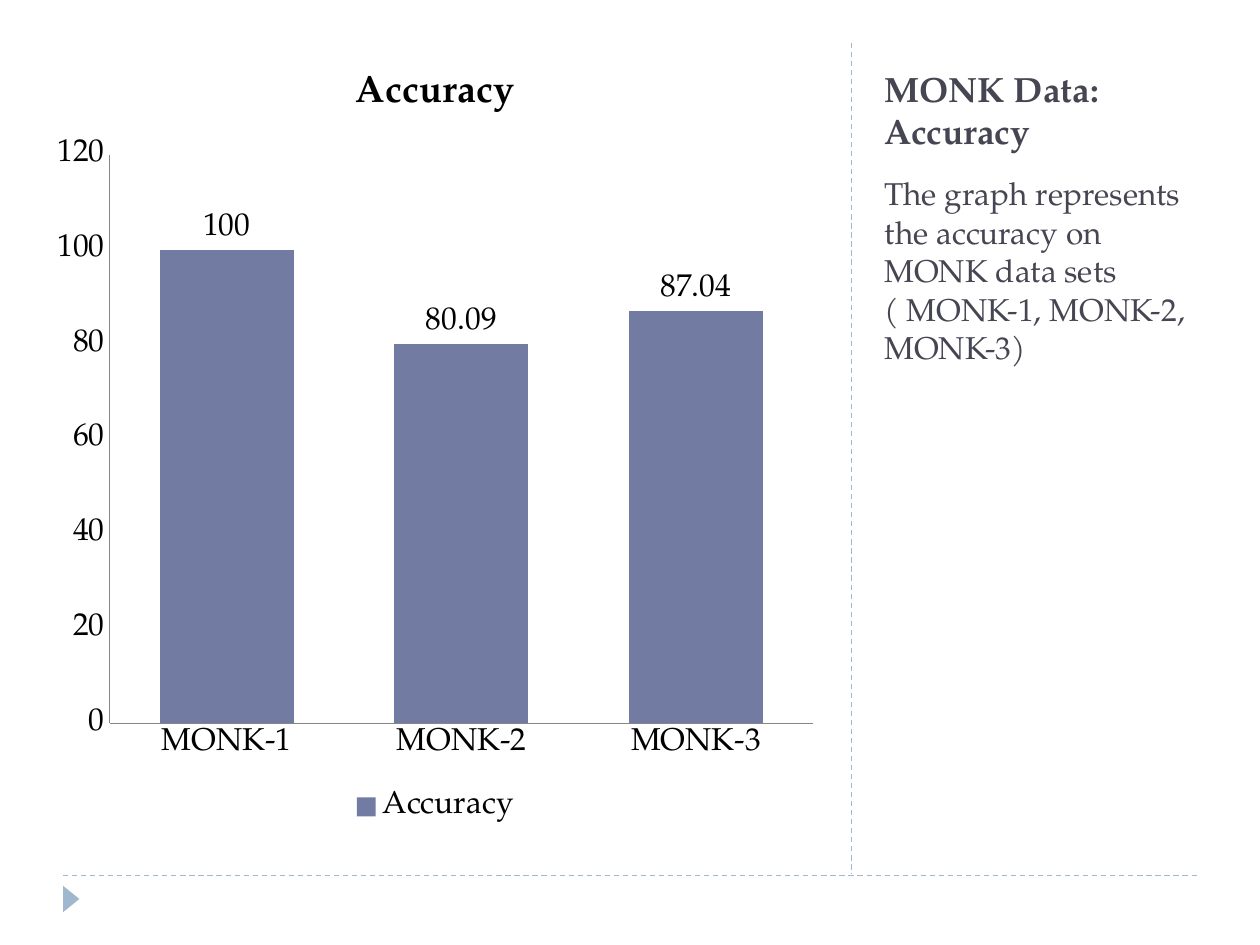
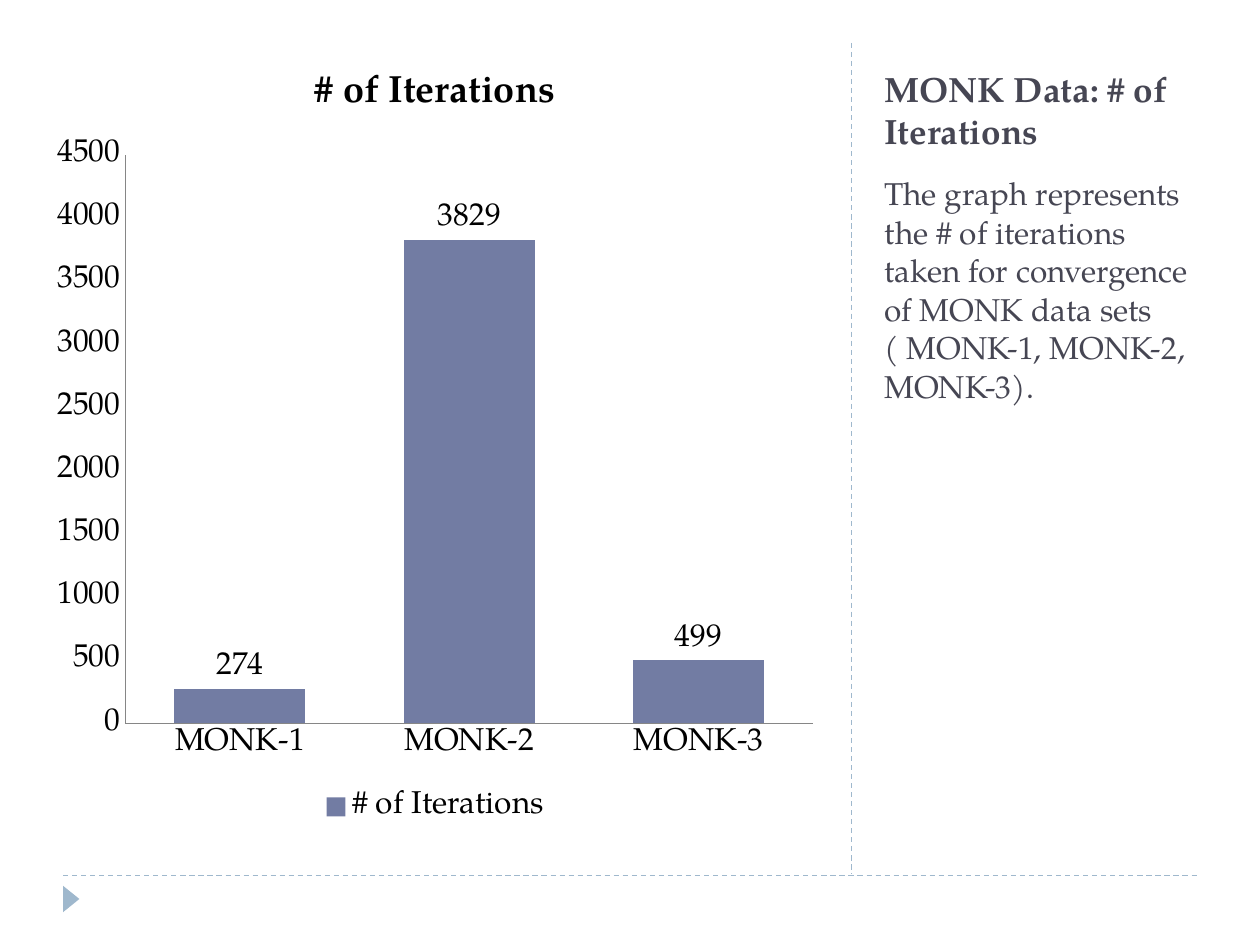
from dataclasses import dataclass

from lxml import etree
from pptx import Presentation
from pptx.chart.data import CategoryChartData
from pptx.dml.color import RGBColor
from pptx.enum.chart import XL_CHART_TYPE, XL_LABEL_POSITION, XL_LEGEND_POSITION, XL_TICK_MARK
from pptx.enum.dml import MSO_LINE
from pptx.enum.shapes import MSO_CONNECTOR, MSO_SHAPE
from pptx.enum.text import MSO_ANCHOR
from pptx.oxml.ns import qn
from pptx.util import Inches, Pt

COLUMNS = XL_CHART_TYPE.COLUMN_CLUSTERED
OUTSIDE = XL_LABEL_POSITION.OUTSIDE_END
BOTTOM_LEGEND = XL_LEGEND_POSITION.BOTTOM
NO_TICK = XL_TICK_MARK.NONE
STRAIGHT = MSO_CONNECTOR.STRAIGHT
TRIANGLE = MSO_SHAPE.ISOSCELES_TRIANGLE


@dataclass(frozen=True)
class Theme:
    font: str = "TeX Gyre Pagella"
    text: RGBColor = RGBColor(0x46, 0x46, 0x53)
    rule: RGBColor = RGBColor(0x9F, 0xB8, 0xCD)
    bar: RGBColor = RGBColor(0x72, 0x7C, 0xA3)
    axis: RGBColor = RGBColor(0x86, 0x86, 0x86)
    chart_text: RGBColor = RGBColor(0, 0, 0)
    title_size: Pt = Pt(20)
    body_size: Pt = Pt(18)
    chart_title_size: Pt = Pt(21.6)


theme = Theme()


def style_font(font, size, color, bold=False):
    font.name = theme.font
    font.size = size
    font.bold = bold
    font.color.rgb = color


def add_text(slide, text, top, height, size, bold=False):
    s = slide.shapes.add_textbox(Inches(6.92), Inches(top), Inches(2.75), Inches(height))
    s.text_frame.word_wrap = True
    p = s.text_frame.paragraphs[0]
    p.text = text
    style_font(p.font, size, theme.text, bold)
    return s.text_frame


# Content: measure, explanation, values per data set
data_sets = ["MONK-1", "MONK-2", "MONK-3"]
measures = [
    ("Accuracy",
     "The graph represents the accuracy on MONK data sets ( MONK-1, MONK-2, MONK-3)",
     [100, 80.09, 87.04]),
    ("# of Iterations",
     "The graph represents the # of iterations taken for convergence of MONK data sets "
     "( MONK-1, MONK-2, MONK-3).",
     [274, 3829, 499]),
]
rules = [(0.5, 6.95, 9.5, 6.95), (6.76, 0.34, 6.76, 6.94)]

prs = Presentation()
prs.slide_width, prs.slide_height = Inches(10), Inches(7.5)

for measure, explanation, values in measures:
    slide = prs.slides.add_slide(prs.slide_layouts[6])

    # Dashed rules
    for ends in rules:
        s = slide.shapes.add_connector(STRAIGHT, *map(Inches, ends))
        s.line.color.rgb = theme.rule
        s.line.width = Pt(0.75)
        s.line.dash_style = MSO_LINE.DASH
        etree.SubElement(s._element.spPr, qn("a:effectLst"))

    # Footer arrow
    s = slide.shapes.add_shape(TRIANGLE, Inches(0.46), Inches(7.07), Inches(0.21), Inches(0.13))
    s.rotation = 90
    s.shadow.inherit = False
    s.fill.solid()
    s.fill.fore_color.rgb = theme.rule
    s.line.fill.background()

    # Side panel
    tf = add_text(slide, f"MONK Data: {measure}", 0.33, 0.92, theme.title_size, bold=True)
    tf.vertical_anchor = MSO_ANCHOR.BOTTOM
    tf = add_text(slide, explanation, 1.33, 5.3, theme.body_size)
    p = tf.paragraphs[0]
    p.line_spacing, p.space_before, p.space_after = Pt(22), Pt(6), Pt(10)

    # Column chart
    data = CategoryChartData()
    data.categories = data_sets
    data.add_series(measure, values)
    chart = slide.shapes.add_chart(
        COLUMNS, Inches(0.33), Inches(0.33), Inches(6.25), Inches(6.25), data).chart
    style_font(chart.font, theme.body_size, theme.chart_text)
    chart.has_title = True
    p = chart.chart_title.text_frame.paragraphs[0]
    p.text = measure
    style_font(p.font, theme.chart_title_size, theme.chart_text, bold=True)
    chart.chart_title.include_in_layout = False
    chart.has_legend = True
    chart.legend.position = BOTTOM_LEGEND
    chart.legend.include_in_layout = False

    for axis in (chart.category_axis, chart.value_axis):
        axis.has_major_gridlines = False
        axis.major_tick_mark = axis.minor_tick_mark = NO_TICK
        axis.format.line.color.rgb = theme.axis
        axis.format.line.width = Pt(0.75)

    plot = chart.plots[0]
    plot.gap_width = 75
    plot.vary_by_categories = False
    plot.has_data_labels = True
    plot.data_labels.show_value = True
    plot.data_labels.position = OUTSIDE
    fill = plot.series[0].format.fill
    fill.solid()
    fill.fore_color.rgb = theme.bar

prs.save("out.pptx")
